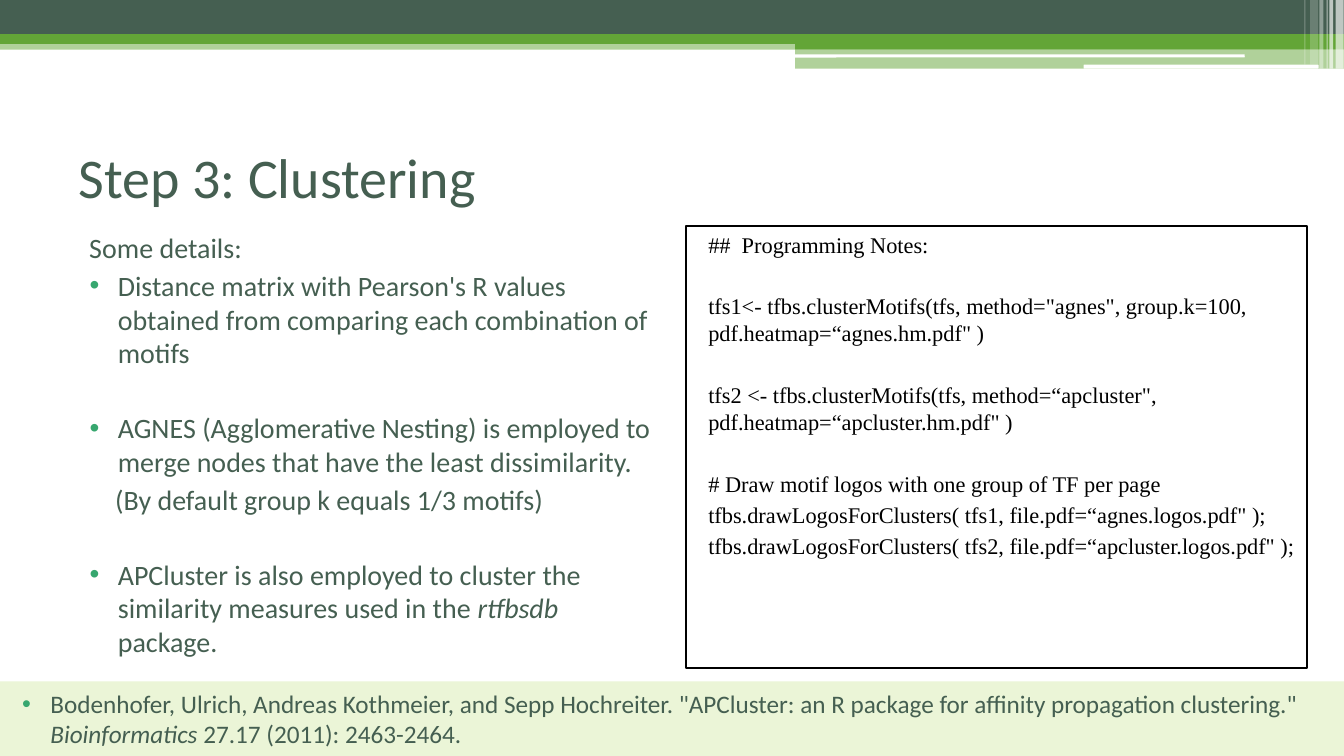
import dataclasses

import lxml.etree as etree
import pptx
import pptx.dml.color
import pptx.enum.shapes
import pptx.enum.text
import pptx.oxml.ns
import pptx.util

Cm = pptx.util.Cm
Pt = pptx.util.Pt
qn = pptx.oxml.ns.qn
Kind = pptx.enum.shapes.MSO_SHAPE
Anchor = pptx.enum.text.MSO_ANCHOR


@dataclasses.dataclass(frozen=True)
class Theme:
    dark: str = "455F51"
    green: str = "63A537"
    dot: str = "37A76F"
    pale: str = "EBF5D7"
    white: str = "FFFFFF"
    black: str = "000000"
    sans: str = "Calibri"
    serif: str = "Times New Roman"
    title: int = 40
    body: int = 20
    cite: int = 18
    code: int = 16
    gap: float = 3
    skip: float = 29.5
    leap: float = 25


THEME = Theme()
WIDE, HIGH = 33.87, 19.05
EDGE = 0.3    # left edge of plain text
HANG = 1.02   # left edge of bullet text

DETAILS = [
    (["Some details:"], {}),
    (["Distance matrix with Pearson's R values obtained from comparing "
      "each combination of motifs"], {"bullet": True}),
    (["AGNES (Agglomerative Nesting) is employed to merge nodes that have "
      "the least dissimilarity."], {"bullet": True, "before": THEME.skip}),
    (["(By default group k equals 1/3 motifs)"], {"left": 0.95}),
    (["APCluster is also employed to cluster the similarity measures used "
      "in the ", "rtfbsdb", " package."],
     {"bullet": True, "before": THEME.skip}),
]

NOTES = [
    ("##  Programming Notes:", THEME.gap),
    ('tfs1<- tfbs.clusterMotifs(tfs, method="agnes", group.k=100, '
     '\tpdf.heatmap=“agnes.hm.pdf" )', THEME.leap),
    ('tfs2 <- tfbs.clusterMotifs(tfs, method=“apcluster", '
     '\tpdf.heatmap=“apcluster.hm.pdf" )', THEME.leap),
    ("# Draw motif logos with one group of TF per page", THEME.leap),
    ('tfbs.drawLogosForClusters( tfs1, file.pdf=“agnes.logos.pdf" );',
     THEME.gap),
    ('tfbs.drawLogosForClusters( tfs2, file.pdf=“apcluster.logos.pdf" );',
     THEME.gap),
]

CITE = [
    "Bodenhofer, Ulrich, Andreas Kothmeier, and Sepp Hochreiter. "
    '"APCluster: an R package for affinity propagation clustering." ',
    "Bioinformatics",
    " 27.17 (2011): 2463-2464.",
]


def color(code):
    return pptx.dml.color.RGBColor.from_string(code)


def block(slide, box, fill=None, alpha=100, line=None, kind=Kind.RECTANGLE):
    """Add a preset shape; box is left, top, width, height in cm."""
    shape = slide.shapes.add_shape(kind, *map(Cm, box))
    shape.shadow.inherit = False
    if fill:
        shape.fill.solid()
        shape.fill.fore_color.rgb = color(fill)
        if alpha < 100:
            tone = shape.fill._xPr.find(".//" + qn("a:srgbClr"))
            etree.SubElement(tone, qn("a:alpha"), val=str(alpha * 1000))
    else:
        shape.fill.background()
    if line:
        shape.line.color.rgb = color(line)
        shape.line.width = Pt(1.5)
    else:
        shape.line.fill.background()
    return shape


def label(slide, box):
    return slide.shapes.add_textbox(*map(Cm, box))


def setup(shape, anchor=Anchor.TOP):
    frame = shape.text_frame
    frame.word_wrap = True
    frame.vertical_anchor = anchor
    return frame


def write(frame, parts, size=THEME.body, font=THEME.sans, ink=THEME.dark,
          left=EDGE, before=THEME.gap, bullet=False):
    """Add a paragraph; every second part is italic."""
    par = frame.paragraphs[0]
    if par.runs:
        par = frame.add_paragraph()
    par.alignment = pptx.enum.text.PP_ALIGN.LEFT
    par.space_before = Pt(before)
    props = par._p.get_or_add_pPr()
    props.set("marL", str(Cm(HANG if bullet else left)))
    props.set("indent", str(Cm(-0.71 if bullet else 0)))
    if bullet:
        tint = etree.SubElement(props, qn("a:buClr"))
        etree.SubElement(tint, qn("a:srgbClr"), val=THEME.dot)
        etree.SubElement(props, qn("a:buFont"), typeface="Arial")
        etree.SubElement(props, qn("a:buChar"), char="•")
    for spot, part in enumerate(parts):
        run = par.add_run()
        run.text = part
        run.font.size = Pt(size)
        run.font.name = font
        run.font.italic = spot % 2 == 1
        run.font.color.rgb = color(ink)


def banner(slide):
    half = 20.04
    rest = WIDE - half
    for box, fill, alpha in [
        ((0, 1.02, WIDE, 0.23), THEME.green, 50),
        ((0, 0, WIDE, 0.86), THEME.dark, 100),
        ((0, 0.86, WIDE, 0.25), THEME.green, 100),
        ((half, 0.99, rest, 0.25), THEME.green, 100),
        ((half, 1.22, rest, 0.51), THEME.green, 50),
    ]:
        block(slide, box, fill, alpha)
    for box in [(20.02, 1.37, 11.35, 0.08), (27.31, 1.63, 5.92, 0.1)]:
        block(slide, box, THEME.white, kind=Kind.ROUNDED_RECTANGLE)
    for left, width, height, alpha in [
        (33.66, 0.2, 1.73, 65),
        (33.5, 0.1, 1.73, 65),
        (33.43, 0.03, 1.73, 60),
        (33.25, 0.1, 1.73, 40),
        (33.02, 0.2, 1.63, 20),
        (32.87, 0.03, 1.63, 30),
    ]:
        block(slide, (left, 0, width, height), THEME.white, alpha)


def main():
    deck = pptx.Presentation()
    deck.slide_width, deck.slide_height = Cm(WIDE), Cm(HIGH)
    slide = deck.slides.add_slide(deck.slide_layouts[6])
    banner(slide)

    title = setup(label(slide, (1.73, 3.18, 30.48, 2.51)), Anchor.MIDDLE)
    write(title, ["Step 3: Clustering"], size=THEME.title, left=0, before=0)

    details = setup(label(slide, (1.7, 5.69, 14.96, 11.15)))
    for parts, look in DETAILS:
        write(details, parts, **look)

    notes = setup(block(slide, (17.3, 5.69, 15.65, 11.15), line=THEME.black))
    for text, before in NOTES:
        write(notes, [text], size=THEME.code, font=THEME.serif,
              ink=THEME.black, before=before)

    foot = block(slide, (0, 17.17, WIDE, 1.88), THEME.pale)
    write(setup(foot, Anchor.MIDDLE), CITE, size=THEME.cite, bullet=True)

    deck.save("out.pptx")


if __name__ == "__main__":
    main()
